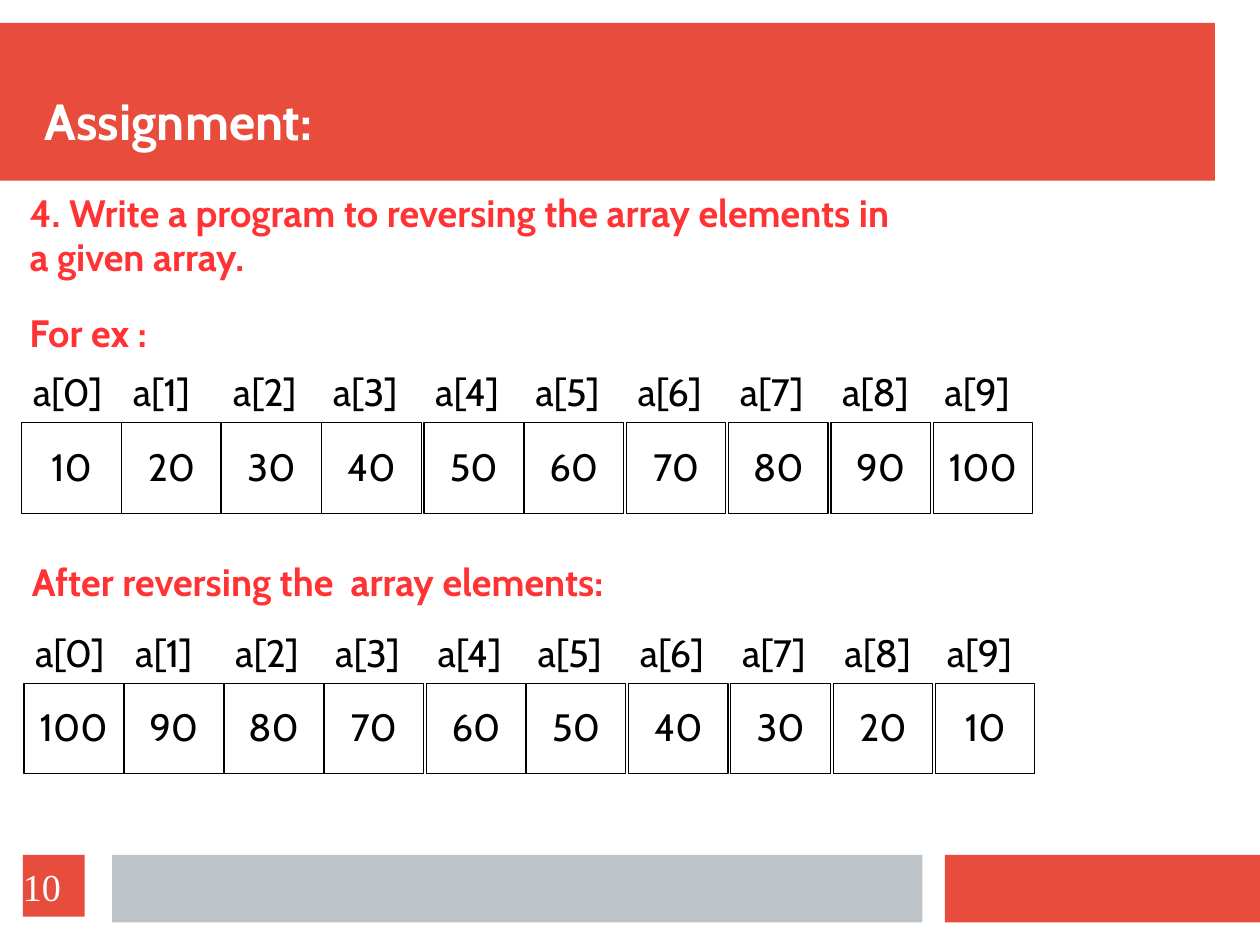
import pptx
import pptx.dml.color
import pptx.enum.shapes
import pptx.enum.text
import pptx.util

SLIDE_WIDTH, SLIDE_HEIGHT = pptx.util.Cm(28), pptx.util.Cm(21)
WIDTH = SLIDE_WIDTH.inches
RED, GRAY, WHITE, BLACK, ACCENT = "E74C3C", "BDC3C7", "FFFFFF", "000000", "FF3333"
FONT = "Cabin"
LINE_SPACING = 0.97
INSETS = (0.1, 0.05)
COLUMN_PITCH = 7 / 8
CELL_WIDTH, CELL_HEIGHT, LABEL_HEIGHT = 0.87, 0.79, 0.5
COLUMN_GAP = 0.02
COLUMNS_AFTER_GAP = (4, 6, 7, 8, 9)
VALUES = list(range(10, 101, 10))
ANCHOR = pptx.enum.text.MSO_ANCHOR
ALIGN = pptx.enum.text.PP_ALIGN


def color(hex_string):
    return pptx.dml.color.RGBColor.from_string(hex_string)


def inches(*lengths):
    return [pptx.util.Inches(length) for length in lengths]


def write(shape, lines, text_color, size=24, bold=False, font=FONT, anchor=ANCHOR.TOP,
          align=ALIGN.LEFT, insets=INSETS, spacing=LINE_SPACING):
    frame = shape.text_frame
    frame.word_wrap = True
    frame.auto_size = pptx.enum.text.MSO_AUTO_SIZE.NONE
    frame.vertical_anchor = anchor
    frame.margin_left, frame.margin_top = inches(*insets)
    frame.margin_right, frame.margin_bottom = inches(*insets)
    for number, line in enumerate(lines):
        paragraph = frame.add_paragraph() if number else frame.paragraphs[0]
        paragraph.alignment = align
        paragraph.line_spacing = spacing
        run = paragraph.add_run()
        run.text = line
        run.font.name = font
        run.font.size = pptx.util.Pt(size)
        run.font.bold = bold
        run.font.color.rgb = color(text_color)


def add_rectangle(slide, box, fill, outline=None):
    shape = slide.shapes.add_shape(pptx.enum.shapes.MSO_SHAPE.RECTANGLE, *inches(*box))
    shape.shadow.inherit = False
    shape.fill.solid()
    shape.fill.fore_color.rgb = color(fill)
    if outline:
        shape.line.color.rgb = color(outline)
        shape.line.width = pptx.util.Pt(0.75)
    else:
        shape.line.fill.background()
    return shape


def add_text(slide, box, lines, text_color, bold=False):
    write(slide.shapes.add_textbox(*inches(*box)), lines, text_color, bold=bold)


def add_title(slide, text):
    title = slide.shapes.title
    title.left, title.top, title.width, title.height = inches(0.39, 0.39, 10.19, 0.94)
    write(title, [text], WHITE, size=32, bold=True, anchor=ANCHOR.BOTTOM, insets=(0, 0))
    title.element.getparent().append(title.element)


def add_array(slide, left, top, values):
    for index, value in enumerate(values):
        gaps = sum(column <= index for column in COLUMNS_AFTER_GAP)
        x = left + index * COLUMN_PITCH + gaps * COLUMN_GAP
        cell = add_rectangle(slide, (x, top + LABEL_HEIGHT, CELL_WIDTH, CELL_HEIGHT), WHITE, BLACK)
        write(cell, [str(value)], BLACK, anchor=ANCHOR.MIDDLE, align=ALIGN.CENTER)
        add_text(slide, (x, top, CELL_WIDTH, LABEL_HEIGHT), [f"a[{index}]"], BLACK)


def add_page_number(slide, number):
    badge = add_rectangle(slide, (0.2, 7.48, 0.54, 0.54), RED)
    write(badge, [number], WHITE, font="Times New Roman", anchor=ANCHOR.MIDDLE,
          insets=(0, 0), spacing=1.0)


def main():
    presentation = pptx.Presentation()
    presentation.slide_width, presentation.slide_height = SLIDE_WIDTH, SLIDE_HEIGHT
    slide = presentation.slides.add_slide(presentation.slide_layouts[5])

    add_rectangle(slide, (0, 0.2, 10.63, 1.38), RED)
    add_rectangle(slide, (WIDTH * 0.75, 7.48, WIDTH * 0.25, 0.59), RED)
    add_rectangle(slide, (0.98, 7.48, 7.09, 0.59), GRAY)
    add_title(slide, "Assignment:")

    add_array(slide, 0.19, 3.2, VALUES)
    question = ["4. Write a program to reversing the array elements in", "a given array."]
    add_text(slide, (0.16, 1.63, 9.98, 0.89), question, ACCENT, bold=True)
    add_text(slide, (0.16, 2.68, 1.73, 0.5), ["For ex :"], ACCENT, bold=True)
    add_array(slide, 0.21, 5.48, VALUES[::-1])
    add_text(slide, (0.18, 4.86, 7.12, 0.5), ["After reversing the  array elements:"], ACCENT, bold=True)
    add_page_number(slide, "10")

    presentation.save("out.pptx")


if __name__ == "__main__":
    main()
